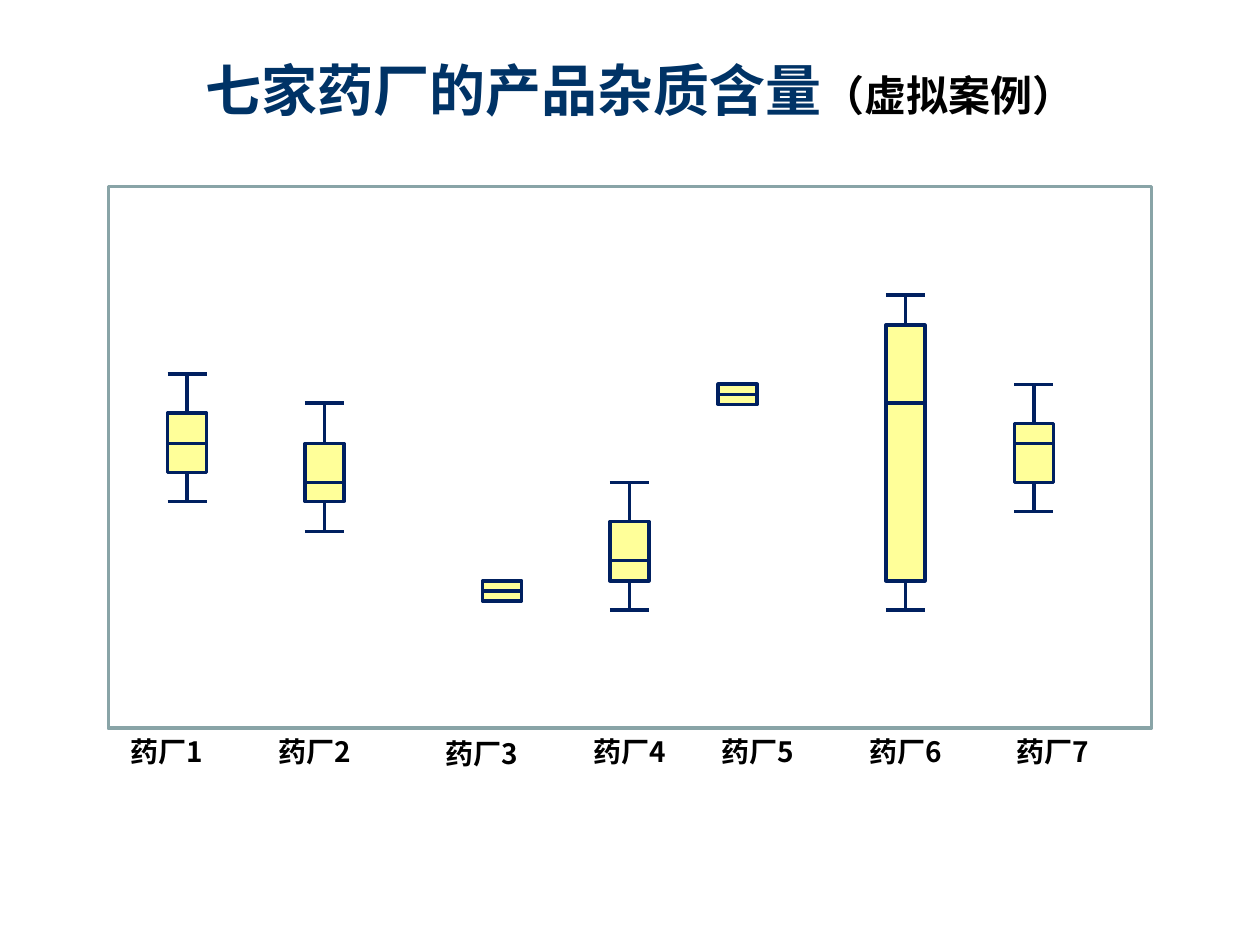
from pptx import Presentation
from pptx.dml.color import RGBColor
from pptx.enum.shapes import MSO_CONNECTOR, MSO_SHAPE
from pptx.enum.text import MSO_ANCHOR, MSO_AUTO_SIZE, PP_ALIGN
from pptx.oxml.ns import qn
from pptx.util import Inches, Pt
from lxml import etree

RECT = MSO_SHAPE.RECTANGLE
LINE = MSO_CONNECTOR.STRAIGHT
TOP = MSO_ANCHOR.TOP
FIXED = MSO_AUTO_SIZE.NONE
LEFT, CENTER = PP_ALIGN.LEFT, PP_ALIGN.CENTER

FONT = "Noto Sans CJK SC"
COLORS = {"title": "003366", "text": "000000", "frame": "89A4A7",
          "line": "002060", "box": "FFFF99"}
TITLE = [("七家药厂的产品杂质含量", 32, "title"), ("（虚拟案例）", 24, "text")]
FRAME = (0.86, 1.48, 8.28, 4.3)
WIDTH = 0.31

# name, label left, label top, box left, high, upper, median, lower, low
PLANTS = [
    ("药厂1", 0.94, 5.78, 1.33, 2.97, 3.28, 3.52, 3.75, 3.98),
    ("药厂2", 2.11, 5.78, 2.42, 3.2, 3.52, 3.83, 3.98, 4.22),
    ("药厂3", 3.44, 5.8, 3.83, 4.61, 4.61, 4.69, 4.77, 4.77),
    ("药厂4", 4.61, 5.78, 4.84, 3.83, 4.14, 4.45, 4.61, 4.84),
    ("药厂5", 5.63, 5.78, 5.7, 3.05, 3.05, 3.13, 3.21, 3.21),
    ("药厂6", 6.8, 5.78, 7.03, 2.34, 2.58, 3.2, 4.61, 4.84),
    ("药厂7", 7.97, 5.78, 8.05, 3.05, 3.36, 3.52, 3.83, 4.06),
]


def color(key):
    return RGBColor.from_string(COLORS[key])


def style(run, size, key):
    font = run.font
    font.name, font.size, font.bold = FONT, Pt(size), True
    font.color.rgb = color(key)
    face = etree.SubElement(run._r.get_or_add_rPr(), qn("a:ea"))
    face.set("typeface", FONT)


def write(shape, parts, align):
    frame = shape.text_frame
    frame.word_wrap = True
    frame.auto_size = FIXED
    frame.vertical_anchor = TOP
    para = frame.paragraphs[0]
    para.alignment = align
    for text, size, key in parts:
        run = para.add_run()
        run.text = text
        style(run, size, key)


def place(shape, *area):
    shape.left, shape.top, shape.width, shape.height = map(Inches, area)


def add_box(shapes, area, edge, fill=None):
    box = shapes.add_shape(RECT, *map(Inches, area))
    box.shadow.inherit = False
    if fill:
        box.fill.solid()
        box.fill.fore_color.rgb = color(fill)
    else:
        box.fill.background()
    box.line.color.rgb = color(edge)
    box.line.width = Pt(2)


def add_line(shapes, *ends):
    line = shapes.add_connector(LINE, *map(Inches, ends))
    line.line.color.rgb = color("line")
    line.line.width = Pt(2)
    etree.SubElement(line._element.spPr, qn("a:effectLst"))


def add_plant(shapes, left, high, upper, median, lower, low):
    right, mid = left + WIDTH, left + WIDTH / 2
    add_box(shapes, (left, upper, WIDTH, lower - upper), "line", "box")
    add_line(shapes, left, median, right, median)
    for tip, edge in ((high, upper), (low, lower)):
        if tip != edge:
            add_line(shapes, left, tip, right, tip)
            add_line(shapes, mid, tip, mid, edge)


def main():
    deck = Presentation()
    deck.slide_width, deck.slide_height = Inches(10), Inches(7.5)
    slide = deck.slides.add_slide(deck.slide_layouts[5])
    shapes = slide.shapes
    place(shapes.title, 1.02, 0.39, 8.12, 0.64)
    write(shapes.title, TITLE, CENTER)
    add_box(shapes, FRAME, "frame")
    for name, left, top, *plot in PLANTS:
        add_plant(shapes, *plot)
        label = shapes.add_textbox(*map(Inches, (left, top, 0.86, 0.37)))
        write(label, [(name, 16, "text")], LEFT)
    deck.save("out.pptx")


if __name__ == "__main__":
    main()
